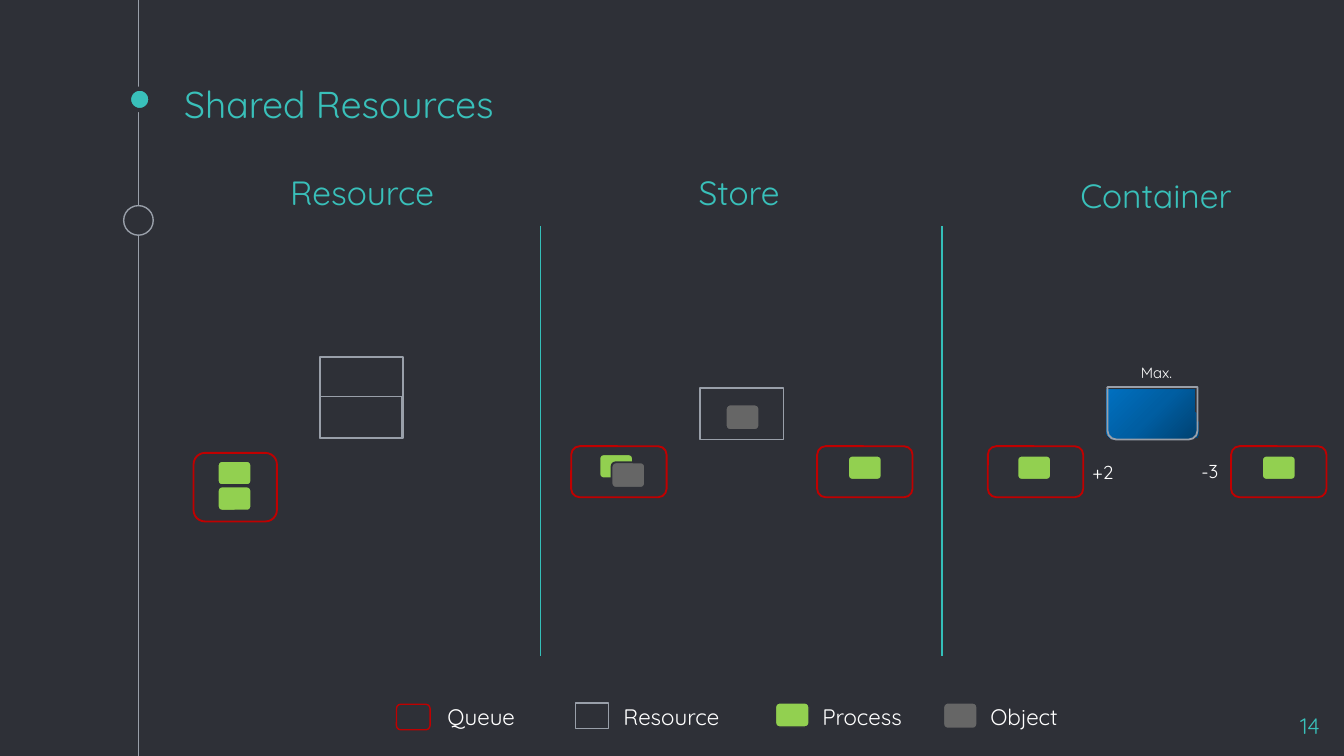
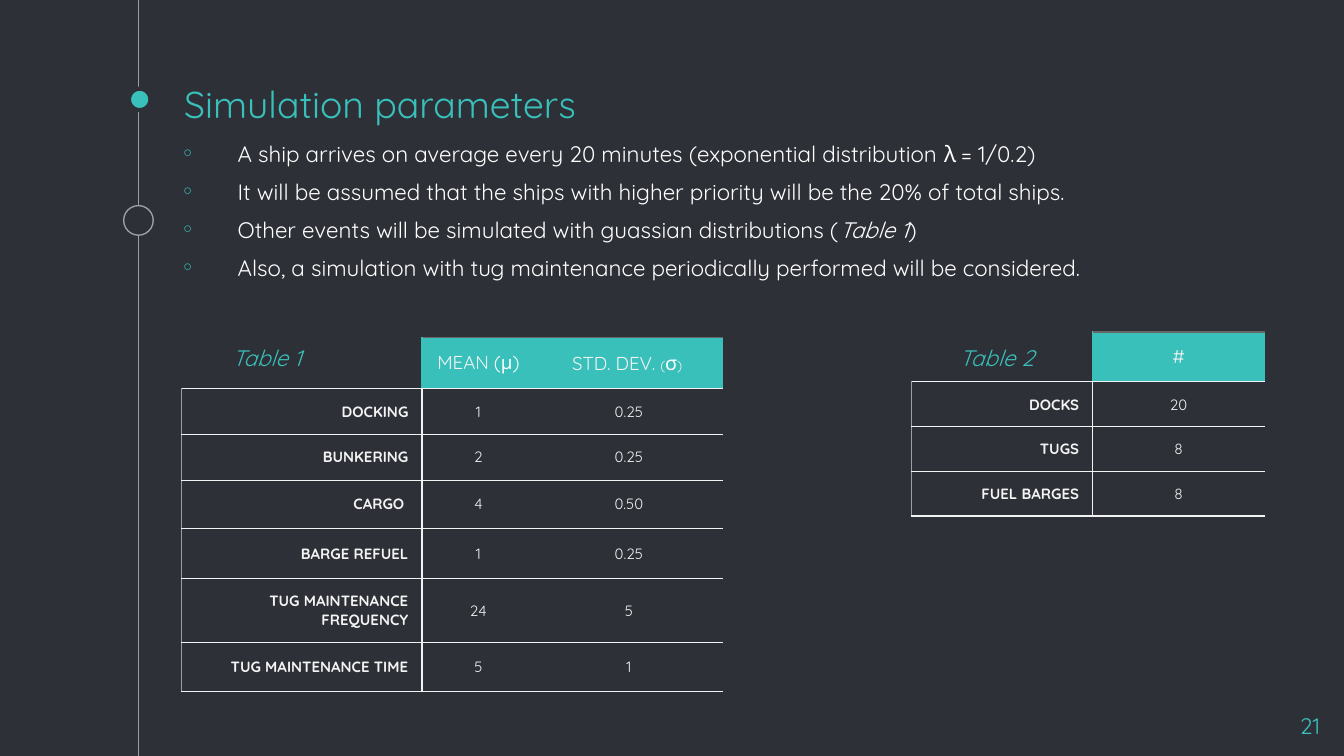
from copy import deepcopy

from lxml import etree
from pptx import Presentation
from pptx.dml.color import RGBColor
from pptx.enum.shapes import MSO_CONNECTOR, MSO_SHAPE
from pptx.enum.text import MSO_ANCHOR, MSO_AUTO_SIZE, PP_ALIGN
from pptx.oxml.ns import qn
from pptx.util import Inches, Pt

STRAIGHT = MSO_CONNECTOR.STRAIGHT
OVAL, RECT, ROUNDED = MSO_SHAPE.OVAL, MSO_SHAPE.RECTANGLE, MSO_SHAPE.ROUNDED_RECTANGLE
BASIN = MSO_SHAPE.ROUND_2_SAME_RECTANGLE
LEFT, CENTER, RIGHT = PP_ALIGN.LEFT, PP_ALIGN.CENTER, PP_ALIGN.RIGHT
TOP, MIDDLE, BOTTOM = MSO_ANCHOR.TOP, MSO_ANCHOR.MIDDLE, MSO_ANCHOR.BOTTOM
NO_FIT, GROW = MSO_AUTO_SIZE.NONE, MSO_AUTO_SIZE.SHAPE_TO_FIT_TEXT

SLIDE_WIDTH = 10
SLIDE_HEIGHT = SLIDE_WIDTH * 9 / 16
FONT = "Quicksand"
DARK, TEAL, GREY, WHITE, PALE = "2E3037", "39C0BA", "999FA9", "FFFFFF", "F3F3F3"
RED, GREEN, OBJECT_GREY, DIVIDER_TEAL = "C00000", "92D050", "666666", "34BFB9"
WATER = [(0, "004272"), (0.5, "005EA2"), (1, "0070C0")]

SYMBOLS = {
    "Queue": (ROUNDED, DARK, RED),
    "Resource": (RECT, DARK, GREY),
    "Process": (ROUNDED, GREEN, DARK),
    "Object": (ROUNDED, OBJECT_GREY, DARK),
}
LEGEND = [
    ("Queue", (2.95, 5.24, 0.25, 0.19), 3.23, 0.83),
    ("Resource", (4.28, 5.23, 0.25, 0.19), 4.54, 0.92),
    ("Process", (5.77, 5.23, 0.25, 0.18), 6.02, 0.83),
    ("Object", (7.02, 5.23, 0.25, 0.19), 7.27, 0.71),
]
COLUMN_HEADS = [
    ("Resource", (2.06, 1.3, 1.33, 0.38)),
    ("Store", (5.1, 1.3, 0.83, 0.38)),
    ("Container", (7.94, 1.32, 1.33, 0.38)),
]
DIVIDERS = [4.02, 7.01]
WATER_LAYERS = [(8.25, 3.14, 0.67, 0.12), (8.25, 3.07, 0.65, 0.19), (8.23, 2.9, 0.66, 0.37)]
TANK = (8.24, 2.88, 0.67, 0.39)
DIAGRAM = [
    ("Queue", (1.44, 3.37, 0.62, 0.51)),
    ("Resource", (2.38, 2.66, 0.62, 0.6)),
    ("Resource", (2.38, 2.95, 0.61, 0.31)),
    ("Process", (1.62, 3.62, 0.25, 0.18)),
    ("Process", (1.62, 3.43, 0.25, 0.18)),
    ("Queue", (4.25, 3.32, 0.71, 0.38)),
    ("Resource", (5.21, 2.89, 0.62, 0.38)),
    ("Process", (4.46, 3.38, 0.25, 0.18)),
    ("Object", (4.55, 3.44, 0.25, 0.19)),
    ("Object", (5.4, 3.01, 0.25, 0.19)),
    ("Queue", (6.08, 3.32, 0.71, 0.38)),
    ("Process", (6.31, 3.39, 0.25, 0.18)),
    ("Queue", (7.35, 3.32, 0.71, 0.38)),
    ("Process", (7.57, 3.39, 0.25, 0.18)),
    ("Queue", (9.16, 3.32, 0.71, 0.38)),
    ("Process", (9.39, 3.39, 0.25, 0.18)),
]
TANK_NOTES = [
    ("Max.", (8.39, 2.66, 0.45, 0.24), 8),
    ("+2", (8.03, 3.38, 0.36, 0.27), 10),
    ("-3", (8.84, 3.37, 0.33, 0.27), 10),
]

PARAMETERS = [
    "A ship arrives on average every 20 minutes (exponential distribution λ = 1/0.2)",
    "It will be assumed that the ships with higher priority will be the 20% of total ships.",
    [("Other events will be simulated with guassian distributions (", {}),
     ("Table 1", {"italic": True}), (")", {})],
    "Also, a simulation with tug maintenance periodically performed will be considered.",
]
TABLES = [
    {
        "caption": ("Table 1", (1.63, 2.51, 0.73, 0.3)),
        "corner": (1.35, 2.51),
        "widths": [1.79, 0.84, 1.4],
        "heights": [0.37, 0.34, 0.34, 0.36, 0.37, 0.36, 0.36],
        "rows": [
            ["",
             [("MEAN ", {}), ("(μ)", {"color": WHITE})],
             [("STD. DEV. ", {}), ("(", {"size": 7}),
              ("σ", {"size": 10.5, "color": WHITE}), (") ", {"size": 7})]],
            ["DOCKING", "1", "0.25"],
            ["BUNKERING", "2", "0.25"],
            ["CARGO ", "4", "0.50"],
            ["BARGE REFUEL", "1", "0.25"],
            ["TUG MAINTENANCE FREQUENCY", "24", "5"],
            ["TUG MAINTENANCE TIME", "5", "1"],
        ],
    },
    {
        "caption": ("Table 2", (7.04, 2.51, 1.33, 0.3)),
        "corner": (6.78, 2.47),
        "widths": [1.35, 1.28],
        "heights": [0.37, 0.32, 0.3, 0.28],
        "rows": [["", "#"], ["DOCKS", "20"], ["TUGS", "8"], ["FUEL BARGES", "8"]],
    },
]


def rgb(color):
    return RGBColor.from_string(color)


def inches(box):
    return [Inches(length) for length in box]


def style_font(font, size=None, color=None, bold=None, italic=None):
    if size:
        font.size = Pt(size)
    if color:
        font.color.rgb = rgb(color)
    if bold is not None:
        font.bold = bold
    if italic is not None:
        font.italic = italic


def write(paragraph, content, size, color, align=LEFT, bold=False, italic=False):
    paragraph.alignment = align
    paragraph.font.name = FONT
    style_font(paragraph.font, size, color, bold, italic)
    for text, changes in [(content, {})] if isinstance(content, str) else content:
        run = paragraph.add_run()
        run.text = text
        style_font(run.font, **changes)


def set_frame(frame, inset=None, anchor=TOP, wrap=True, fit=NO_FIT):
    frame.word_wrap, frame.auto_size, frame.vertical_anchor = wrap, fit, anchor
    if inset is not None:
        frame.margin_left = frame.margin_right = Inches(inset)
        frame.margin_top = frame.margin_bottom = Inches(inset)


def add_text(slide, box, content, size, color, align=LEFT, italic=False, **frame_options):
    frame = slide.shapes.add_textbox(*inches(box)).text_frame
    set_frame(frame, **frame_options)
    write(frame.paragraphs[0], content, size, color, align, italic=italic)


def add_figure(slide, preset, box, fill=None, line=None, weight=1):
    figure = slide.shapes.add_shape(preset, *inches(box))
    figure.shadow.inherit = False
    if fill:
        figure.fill.solid()
        figure.fill.fore_color.rgb = rgb(fill)
    else:
        figure.fill.background()
    if line:
        figure.line.color.rgb = rgb(line)
        figure.line.width = Pt(weight)
    else:
        figure.line.fill.background()
    return figure


def add_symbol(slide, kind, box, weight=1):
    preset, fill, line = SYMBOLS[kind]
    add_figure(slide, preset, box, fill, line, weight)


def add_upright(slide, x, top, bottom, color):
    upright = slide.shapes.add_connector(STRAIGHT, *inches((x, top, x, bottom)))
    upright.line.color.rgb = rgb(color)
    upright.line.width = Pt(0.75)
    etree.SubElement(upright._element.spPr, qn("a:effectLst"))


def fill_with_water(layer):
    layer.fill.gradient()
    layer.fill.gradient_angle = 315
    stops = layer._element.spPr.find(".//" + qn("a:gsLst"))
    stops.insert(1, deepcopy(stops[0]))
    for stop, (position, color) in zip(layer.fill.gradient_stops, WATER):
        stop.position = position
        stop.color.rgb = rgb(color)


def add_slide(prs, title, number):
    slide = prs.slides.add_slide(prs.slide_layouts[5])
    add_upright(slide, 1.03, 0, SLIDE_HEIGHT, GREY)
    add_figure(slide, OVAL, (0.96, 0.66, 0.16, 0.16), TEAL, DARK, 2.25)
    add_figure(slide, OVAL, (0.92, 1.53, 0.22, 0.22), DARK, GREY, 0.75)
    heading = slide.shapes.title
    heading.left, heading.top, heading.width, heading.height = inches((1.27, 0.66, 7.5, 0.38))
    set_frame(heading.text_frame, 0.1, BOTTOM)
    write(heading.text_frame.paragraphs[0], title, 20, TEAL)
    add_text(slide, (9.32, 5.2, 0.6, 0.34), number, 12, TEAL, RIGHT, inset=0.1)
    return slide


def set_borders(cell, left, right, top, bottom):
    properties = cell._tc.get_or_add_tcPr()
    for side, color in zip("LRTB", (left, right, top, bottom)):
        border = etree.SubElement(properties, qn("a:ln" + side), w=str(Pt(0.75)))
        if color:
            fill = etree.SubElement(border, qn("a:solidFill"))
            etree.SubElement(fill, qn("a:srgbClr"), val=color)
        else:
            etree.SubElement(border, qn("a:noFill"))


def border_colors(row, column):
    if row == 0:
        edge = TEAL if column == 1 else None
        return edge, TEAL if column == 0 else None, OBJECT_GREY if column else None, PALE
    if column == 0:
        return GREY, PALE, PALE, PALE
    return PALE if column == 1 else None, None, PALE, PALE


def add_parameter_table(slide, data):
    rows, widths, heights = data["rows"], data["widths"], data["heights"]
    box = (*data["corner"], sum(widths), sum(heights))
    table = slide.shapes.add_table(len(rows), len(widths), *inches(box)).table
    table.first_row = table.horz_banding = False
    for column, width in zip(table.columns, widths):
        column.width = Inches(width)
    for r, (row, height) in enumerate(zip(rows, heights)):
        table.rows[r].height = Inches(height)
        for c, content in enumerate(row):
            cell = table.cell(r, c)
            set_borders(cell, *border_colors(r, c))
            cell.vertical_anchor = MIDDLE
            cell.margin_left = cell.margin_right = Inches(0.1)
            cell.margin_top = cell.margin_bottom = Inches(0.1 if content else 0)
            if r == 0 and c > 0:
                cell.fill.solid()
                cell.fill.fore_color.rgb = rgb(TEAL)
            else:
                cell.fill.background()
            if content:
                write(cell.text_frame.paragraphs[0], content, 8 if r else 10, PALE,
                      CENTER if c else RIGHT, bold=c == 0)


def add_bullets(slide, box, items):
    frame = slide.shapes.add_textbox(*inches(box)).text_frame
    set_frame(frame, 0.1)
    for i, item in enumerate(items):
        paragraph = frame.add_paragraph() if i else frame.paragraphs[0]
        write(paragraph, item, 12, WHITE)
        paragraph.space_before = Pt(6)
        properties = paragraph._p.get_or_add_pPr()
        properties.set("marL", str(Inches(0.5)))
        properties.set("indent", str(Inches(-0.42)))
        color = etree.Element(qn("a:buClr"))
        etree.SubElement(color, qn("a:srgbClr"), val=TEAL)
        typeface = etree.Element(qn("a:buFont"), typeface=FONT)
        bullet = etree.Element(qn("a:buChar"), char="◦")
        properties.find(qn("a:spcBef")).addnext(color)
        color.addnext(typeface)
        typeface.addnext(bullet)


def build_resources(prs):
    slide = add_slide(prs, "Shared Resources", "14")
    for box in WATER_LAYERS:
        layer = add_figure(slide, BASIN, box)
        layer.rotation = 180
        fill_with_water(layer)
    add_figure(slide, BASIN, TANK, line=GREY).rotation = 180
    for x in DIVIDERS:
        add_upright(slide, x, 1.68, 4.88, DIVIDER_TEAL)
    for head, box in COLUMN_HEADS:
        add_text(slide, box, head, 18, TEAL, inset=0.1, anchor=BOTTOM)
    for kind, box in DIAGRAM:
        add_symbol(slide, kind, box)
    for note, box, size in TANK_NOTES:
        add_text(slide, box, note, size, WHITE, wrap=False, fit=GROW)
    for kind, box, label_left, label_width in LEGEND:
        add_symbol(slide, kind, box, 0.75)
        add_text(slide, (label_left, 5.18, label_width, 0.3), kind, 12, WHITE, fit=GROW)


def build_parameters(prs):
    slide = add_slide(prs, "Simulation parameters", "21")
    for data in TABLES:
        add_parameter_table(slide, data)
        caption, box = data["caption"]
        add_text(slide, box, caption, 12, TEAL, italic=True, fit=GROW)
    add_bullets(slide, (1.17, 0.94, 8.43, 1.52), PARAMETERS)


def main():
    """Build the two simulation slides and save them."""
    prs = Presentation()
    prs.slide_width, prs.slide_height = inches((SLIDE_WIDTH, SLIDE_HEIGHT))
    background = prs.slide_master.background.fill
    background.solid()
    background.fore_color.rgb = rgb(DARK)
    build_resources(prs)
    build_parameters(prs)
    prs.save("out.pptx")


if __name__ == "__main__":
    main()
